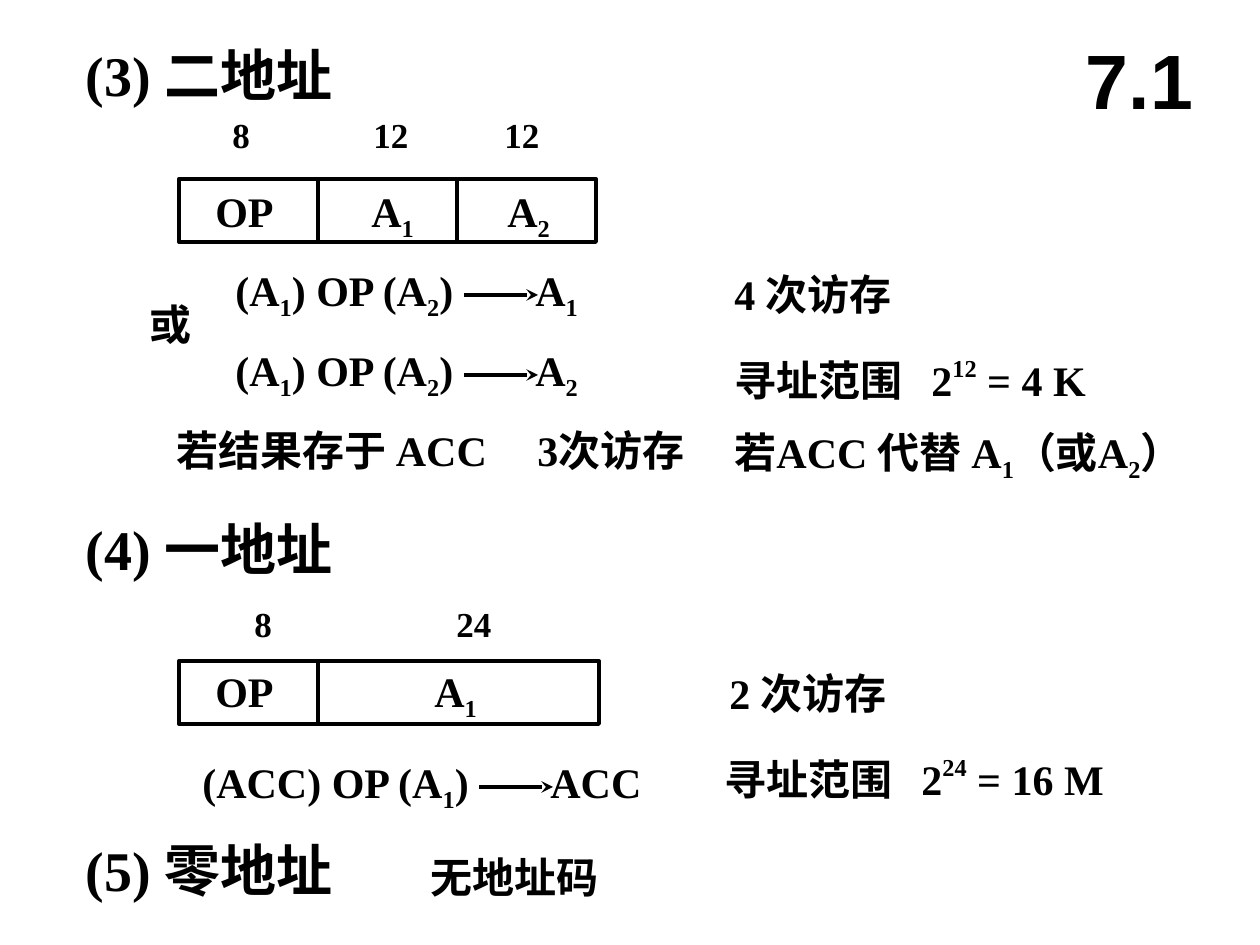
from pptx import Presentation
from pptx.dml.color import RGBColor
from pptx.enum.shapes import MSO_CONNECTOR, MSO_SHAPE
from pptx.enum.text import MSO_ANCHOR, PP_ALIGN
from pptx.oxml.ns import qn
from pptx.util import Pt
from lxml import etree

STRAIGHT = MSO_CONNECTOR.STRAIGHT
RECTANGLE = MSO_SHAPE.RECTANGLE
TOP, MIDDLE = MSO_ANCHOR.TOP, MSO_ANCHOR.MIDDLE
LEFT, CENTER = PP_ALIGN.LEFT, PP_ALIGN.CENTER

PX_PER_INCH = 126
BLACK = "000000"
SUBSCRIPT, SUPERSCRIPT = "-25000", "45000"


def px(length):
    return round(length * 914400 / PX_PER_INCH)


def color(value):
    return RGBColor.from_string(value)


def add_text(page, text, x, y, width, height=63, size=24, font="Times New Roman",
             align=LEFT, anchor=TOP, tabs=()):
    box = page.shapes.add_textbox(px(x), px(y), px(width), px(height))
    frame = box.text_frame
    frame.word_wrap = True
    frame.vertical_anchor = anchor
    para = frame.paragraphs[0]
    para.alignment = align
    if tabs:
        stops = etree.SubElement(para._p.get_or_add_pPr(), qn("a:tabLst"))
        for stop in tabs:
            etree.SubElement(stops, qn("a:tab"), pos=str(px(stop)), algn="l")
    for piece in text.split("|"):
        span = para.add_run()
        span.text = piece.lstrip("_^")
        span.font.size = Pt(size)
        span.font.name = font
        span.font.bold = True
        span.font.color.rgb = color(BLACK)
        if piece.startswith("_"):
            span._r.get_or_add_rPr().set("baseline", SUBSCRIPT)
        elif piece.startswith("^"):
            span._r.get_or_add_rPr().set("baseline", SUPERSCRIPT)


def add_heading(page, text, x, y):
    add_text(page, text, x, y, 380, height=81, size=32)


def add_arrow(page, x, y, length):
    arrow = page.shapes.add_connector(STRAIGHT, px(x), px(y), px(x + length), px(y))
    arrow.line.color.rgb = color(BLACK)
    arrow.line.width = Pt(2.25)
    etree.SubElement(arrow.line._get_or_add_ln(), qn("a:tailEnd"), type="stealth")
    etree.SubElement(arrow._element.spPr, qn("a:effectLst"))


def add_fields(page, x, y, fields, label_shift=0):
    for label, width, indent in fields:
        cell = page.shapes.add_shape(RECTANGLE, px(x), px(y), px(width), px(63))
        cell.shadow.inherit = False
        cell.fill.background()
        cell.line.color.rgb = color(BLACK)
        cell.line.width = Pt(2.25)
        add_text(page, label, x + indent, y + label_shift, 90)
        x += width


def add_formula(page, operation, result, x, y, arrow_indent):
    result_indent = arrow_indent + 59
    add_text(page, f"{operation}\t{result}", x, y, 480, height=71, tabs=[result_indent])
    add_arrow(page, x + arrow_indent, y + 37, 74)


def add_range(page, power, x, y):
    add_text(page, f"寻址范围\t2|{power}", x, y, 432, height=64, tabs=[197])


def add_two_address(page, x, y):
    add_heading(page, "(3) 二地址", x, y)
    add_text(page, "8\t12\t12", x + 147, y + 73, 340, height=55, size=20, tabs=[141, 272])
    add_fields(page, x + 106, y + 145,
               [("OP", 139, 24), ("A|_1", 139, 41), ("A|_2", 139, 38)])
    add_text(page, "或", x + 64, y + 258, 75)
    for row, target in enumerate(["A|_1", "A|_2"]):
        add_formula(page, "(A|_1|) OP (A|_2|)", target, x + 150, y + 224 + 80 * row, 241)
    add_text(page, "4 次访存", x + 649, y + 228, 380)
    add_range(page, "^12| = 4 K", x + 649, y + 313)
    add_text(page, "若结果存于 ACC", x + 91, y + 384, 388)
    add_text(page, "3次访存", x + 452, y + 384, 252)
    add_text(page, "若ACC 代替 A|_1|（或A|_2|）", x + 649, y + 386, 495, height=127)


def add_one_address(page, x, y):
    add_heading(page, "(4) 一地址", x, y)
    add_text(page, "8\t24", x + 169, y + 88, 300, height=55, size=20, tabs=[202])
    add_fields(page, x + 106, y + 153, [("OP", 139, 24), ("A|_1", 281, 104)], label_shift=-2)
    add_formula(page, "(ACC) OP (A|_1|)", "ACC", x + 117, y + 242, 289)
    add_text(page, "2 次访存", x + 644, y + 153, 220)
    add_range(page, "^24| = 16 M", x + 639, y + 238)


def add_zero_address(page, x, y):
    add_heading(page, "(5) 零地址", x, y)
    add_text(page, "无地址码", x + 345, y + 16, 210)


def main():
    deck = Presentation()
    deck.slide_width, deck.slide_height = px(1260), px(945)
    page = deck.slides.add_slide(deck.slide_layouts[6])
    add_two_address(page, 73, 34)
    add_one_address(page, 73, 508)
    add_zero_address(page, 73, 829)
    add_text(page, "7.1", 1061, 21, 157, height=116, size=44, font="Arial",
             align=CENTER, anchor=MIDDLE)
    deck.save("out.pptx")


if __name__ == "__main__":
    main()
